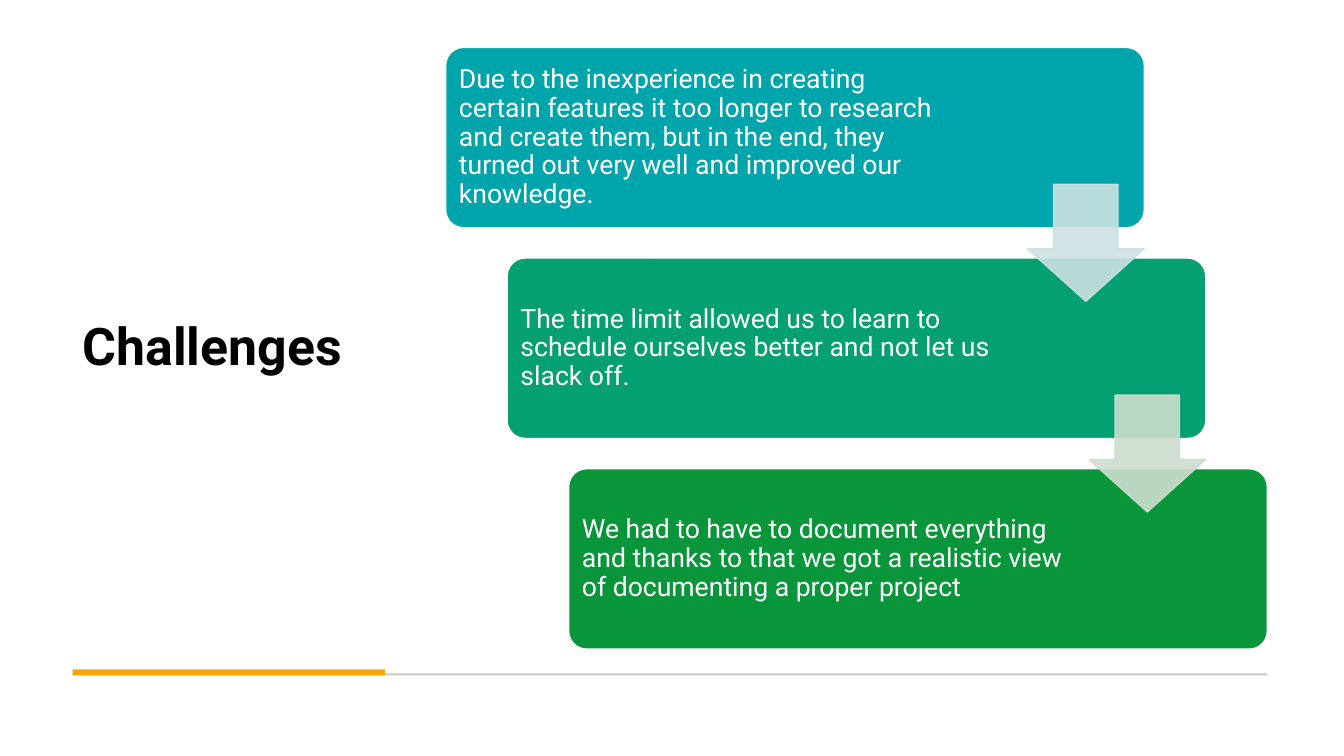
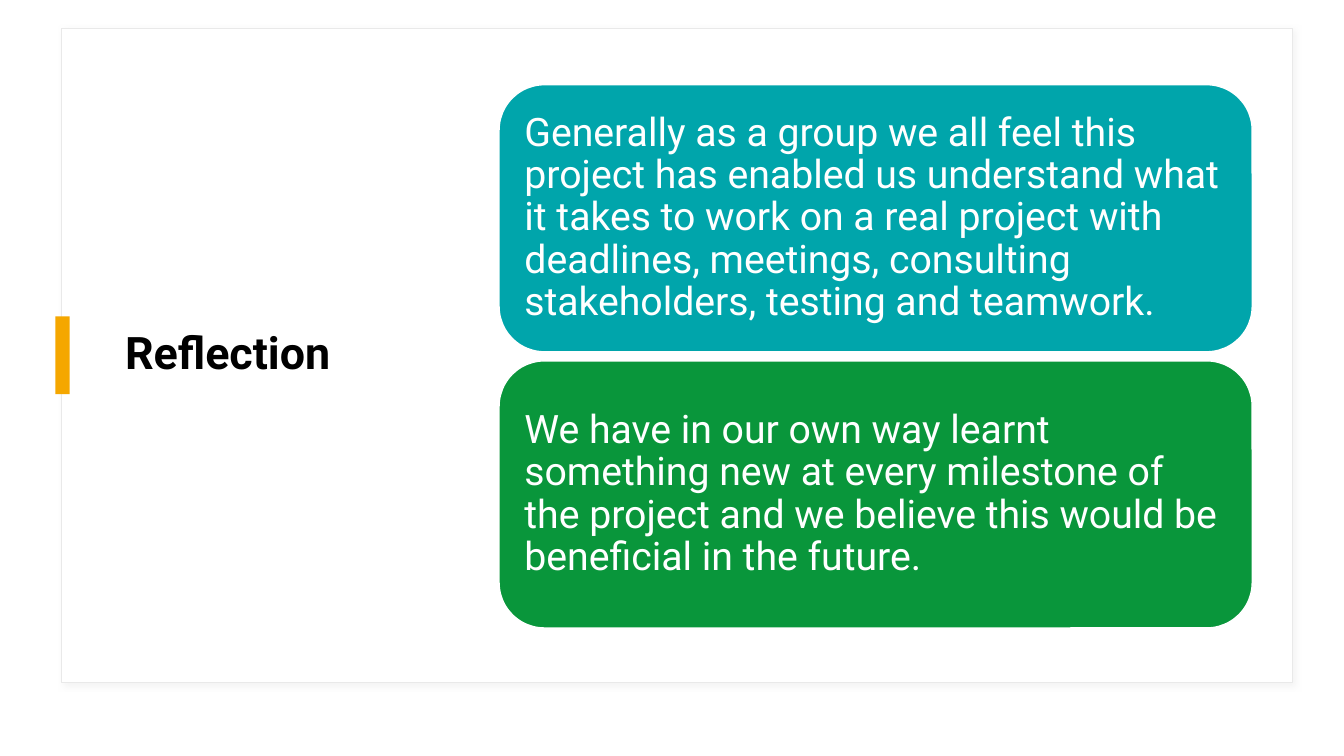
import pptx
import pptx.util
import pptx.dml.color
import pptx.enum.shapes
import pptx.enum.text
import pptx.oxml
import pptx.oxml.ns

Inches = pptx.util.Inches
Pt = pptx.util.Pt
RGBColor = pptx.dml.color.RGBColor
KIND = pptx.enum.shapes.MSO_SHAPE
ALIGN = pptx.enum.text.PP_ALIGN
MIDDLE = pptx.enum.text.MSO_ANCHOR.MIDDLE
FIXED = pptx.enum.text.MSO_AUTO_SIZE.NONE

WHITE = RGBColor(0xFF, 0xFF, 0xFF)
BLACK = RGBColor(0, 0, 0)
AMBER = RGBColor(0xF5, 0xA7, 0x00)
GREY = RGBColor(0xC9, 0xC9, 0xC9)
EDGE = RGBColor(0xE9, 0xE9, 0xE9)
TEAL = RGBColor(0x00, 0xA5, 0xAB)
JADE = RGBColor(0x05, 0xA0, 0x71)
GREEN = RGBColor(0x09, 0x96, 0x3B)
MIST = RGBColor(0xCC, 0xE1, 0xE2)
SAGE = RGBColor(0xCC, 0xDD, 0xCF)

FONT = "Roboto"
NS = pptx.oxml.ns.nsdecls("a")
SHADE = (
    f'<a:effectLst {NS}><a:outerShdw blurRad="50800" dist="38100" dir="2700000">'
    '<a:srgbClr val="D9D9D9"><a:alpha val="30000"/></a:srgbClr>'
    "</a:outerShdw></a:effectLst>"
)
ALPHA = f'<a:alpha {NS} val="90000"/>'

STEPS = [
    ("Due to the inexperience in creating certain features it too longer to research "
     "and create them, but in the end, they turned out very well and improved our knowledge.", TEAL),
    ("The time limit allowed us to learn to schedule ourselves better "
     "and not let us slack off.", JADE),
    ("We had to have to document everything and thanks to that we got a realistic "
     "view of documenting a proper project", GREEN),
]
POINTS = [
    ("Generally as a group we all feel this project has enabled us understand what it takes "
     "to work on a real project with deadlines, meetings, consulting stakeholders, "
     "testing and teamwork.", TEAL),
    ("We have in our own way learnt something new at every milestone of the project "
     "and we believe this would be beneficial in the future.", GREEN),
]


def apply(item, values):
    for name, value in values.items():
        setattr(item, name, value)


def place(item, box):
    names = ("left", "top", "width", "height")
    apply(item, dict(zip(names, map(Inches, box))))


def draw(slide, kind, box, fill, line=None, adj=()):
    shape = slide.shapes.add_shape(kind, *map(Inches, box))
    shape.shadow.inherit = False
    shape.fill.solid()
    shape.fill.fore_color.rgb = fill
    if line is None:
        shape.line.fill.background()
    else:
        shape.line.color.rgb = line
        shape.line.width = Pt(1)
    for index, value in enumerate(adj):
        shape.adjustments[index] = value
    return shape


def write(shape, text, size, color, after=0, bold=False):
    frame = shape.text_frame
    frame.text = text
    apply(frame, {"word_wrap": True, "auto_size": FIXED, "vertical_anchor": MIDDLE})
    para = frame.paragraphs[0]
    apply(para, {"alignment": ALIGN.LEFT, "line_spacing": 0.9, "space_after": Pt(after)})
    font = para.runs[0].font
    apply(font, {"name": FONT, "size": Pt(size), "bold": bold})
    font.color.rgb = color


def panel(slide, box, text, fill, size, pad, right, adj):
    shape = draw(slide, KIND.ROUNDED_RECTANGLE, box, fill, WHITE, [adj])
    write(shape, text, size, WHITE, size * 0.35)
    apply(shape.text_frame, {
        "margin_left": Inches(pad), "margin_top": Inches(pad),
        "margin_bottom": Inches(pad), "margin_right": Inches(right),
    })


def arrow(slide, box, fill):
    shape = draw(slide, KIND.DOWN_ARROW, box, fill, fill, [0.55, 0.45])
    props = shape.element.spPr
    for color in props.iter(pptx.oxml.ns.qn("a:srgbClr")):
        color.append(pptx.oxml.parse_xml(ALPHA))


def title(slide, box, text, size):
    head = slide.shapes.title
    place(head, box)
    write(head, text, size, BLACK, bold=True)


def rule(slide, left, top, width):
    draw(slide, KIND.RECTANGLE, (left, top, width, 0.02), GREY)
    draw(slide, KIND.RECTANGLE, (left, top - 0.04, 3.1, 0.06), AMBER)


def stairs(slide, left, top, width, height):
    wide, tall, side = 6.93, 1.79, 1.16
    last = len(STEPS) - 1
    across = (width - wide) / last
    down = (height - tall) / last
    for index, (text, fill) in enumerate(STEPS):
        box = (left + index * across, top + index * down, wide, tall)
        panel(slide, box, text, fill, 19, 0.08, 1.88, 0.1)
    for index, fill in enumerate((MIST, SAGE)):
        box = (left + wide - side + index * across, top + 1.36 + index * down, side, side)
        arrow(slide, box, fill)


def card(slide, left, top, width, height):
    shape = draw(slide, KIND.RECTANGLE, (left, top, width, height), WHITE, EDGE)
    props = shape.element.spPr
    props.remove(props.find(pptx.oxml.ns.qn("a:effectLst")))
    props.append(pptx.oxml.parse_xml(SHADE))
    draw(slide, KIND.RECTANGLE, (left - 0.06, top + 2.86, 0.14, 0.77), AMBER)


def stack(slide, left, top, width, height):
    gap = 0.09
    tall = (height - gap * (len(POINTS) - 1)) / len(POINTS)
    for index, (text, fill) in enumerate(POINTS):
        box = (left, top + index * (tall + gap), width, tall)
        panel(slide, box, text, fill, 28, 0.12, 0.12, 0.17)


def start(deck):
    slide = deck.slides.add_slide(deck.slide_layouts[5])
    slide.background.fill.solid()
    slide.background.fill.fore_color.rgb = WHITE
    return slide


def raise_title(slide):
    head = slide.shapes.title.element
    head.getparent().append(head)


def trials(deck):
    slide = start(deck)
    title(slide, (0.72, 0.47, 3.1, 5.97), "Challenges", 37)
    rule(slide, 0.72, 6.68, 11.85)
    stairs(slide, 4.42, 0.47, 8.15, 5.97)


def review(deck):
    slide = start(deck)
    card(slide, 0.61, 0.28, 12.21, 6.49)
    raise_title(slide)
    title(slide, (1.14, 0.55, 3.27, 5.95), "Reflection", 32)
    stack(slide, 4.95, 0.84, 7.47, 5.39)


def main():
    deck = pptx.Presentation()
    apply(deck, {"slide_width": Inches(13.33), "slide_height": Inches(7.5)})
    trials(deck)
    review(deck)
    deck.save("out.pptx")


if __name__ == "__main__":
    main()
